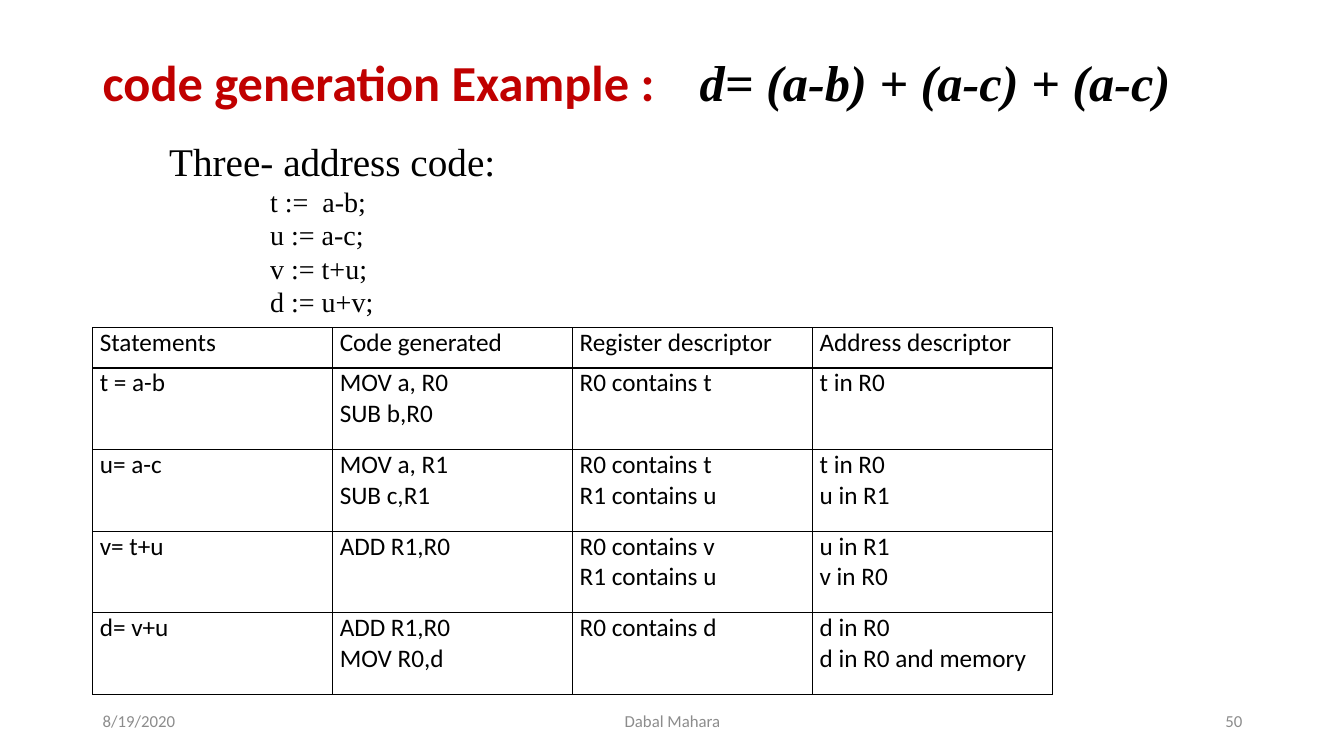
from lxml import etree
from pptx import Presentation
from pptx.dml.color import RGBColor
from pptx.enum.text import MSO_ANCHOR, PP_ALIGN
from pptx.oxml.ns import qn
from pptx.util import Emu, Pt

BLACK = RGBColor(0x00, 0x00, 0x00)
RED = RGBColor(0xC0, 0x00, 0x00)
GRAY = RGBColor(0x8C, 0x8C, 0x8C)
SANS = "Calibri"
SERIF = "Times New Roman"
TOP, MIDDLE = MSO_ANCHOR.TOP, MSO_ANCHOR.MIDDLE
LEFT, CENTER, RIGHT = PP_ALIGN.LEFT, PP_ALIGN.CENTER, PP_ALIGN.RIGHT
EMU_PER_PX = 9144

THREE_ADDRESS_CODE = ["t :=  a-b;", "u := a-c;", "v := t+u;", "d := u+v;"]
DESCRIPTORS = [
    ["Statements", "Code generated", "Register descriptor", "Address descriptor"],
    ["t = a-b", "MOV a, R0\nSUB b,R0", "R0 contains t", "t in R0"],
    ["u= a-c", "MOV a, R1\nSUB c,R1", "R0 contains t\nR1 contains u", "t in R0\nu in R1"],
    ["v= t+u", "ADD R1,R0", "R0 contains v\nR1 contains u", "u in R1\nv in R0"],
    ["d= v+u", "ADD R1,R0\nMOV R0,d", "R0 contains d", "d in R0\nd in R0 and memory"],
]
FOOTER = [
    ("8/19/2020", 92, 300, LEFT),
    ("Dabal Mahara", 442, 450, CENTER),
    ("50", 942, 300, RIGHT),
]


def px(length):
    return Emu(length * EMU_PER_PX)


class SlideBuilder:
    def __init__(self, slide):
        self.slide = slide

    def style(self, run, size, font=SANS, color=BLACK, bold=False, italic=False):
        run.font.size = Pt(size)
        run.font.name = font
        run.font.color.rgb = color
        run.font.bold = bold
        run.font.italic = italic

    def text_box(self, left, top, width, height, anchor=TOP, margin_top=5):
        text_frame = self.slide.shapes.add_textbox(
            px(left), px(top), px(width), px(height)).text_frame
        text_frame.word_wrap = True
        text_frame.vertical_anchor = anchor
        text_frame.margin_top = px(margin_top)
        return text_frame

    def title(self, label, expression):
        paragraph = self.text_box(92, 40, 1150, 145, margin_top=18).paragraphs[0]
        paragraph.line_spacing = 0.9
        tab_list = etree.SubElement(
            paragraph._p.get_or_add_pPr(), qn("a:tabLst"))
        etree.SubElement(tab_list, qn("a:tab"), pos=str(px(592)), algn="l")
        label_run = paragraph.add_run()
        label_run.text = label + "\t"
        self.style(label_run, 36, color=RED, bold=True)
        expression_run = paragraph.add_run()
        expression_run.text = expression
        self.style(expression_run, 36, SERIF, bold=True, italic=True)

    def code(self, heading, lines):
        text_frame = self.text_box(158, 99, 751, 226, margin_top=37)
        text_frame.text = "\n".join([heading] + lines)
        heading_paragraph, *code_paragraphs = text_frame.paragraphs
        self.style(heading_paragraph.runs[0], 28, SERIF)
        for paragraph in code_paragraphs:
            paragraph._p.get_or_add_pPr().set("marL", str(px(100)))
            self.style(paragraph.runs[0], 20, SERIF)

    def table(self, left, top, column_width, row_heights, rows):
        table = self.slide.shapes.add_table(
            len(rows), len(rows[0]), px(left), px(top),
            px(column_width * len(rows[0])), px(sum(row_heights))).table
        table.first_row = False
        table.horz_banding = False
        for column in table.columns:
            column.width = px(column_width)
        for row, height, texts in zip(table.rows, row_heights, rows):
            row.height = px(height)
            for cell, text in zip(row.cells, texts):
                self.cell(cell, text)

    def cell(self, cell, text):
        cell.text = text
        cell.margin_left = cell.margin_right = px(7)
        cell.margin_top = cell.margin_bottom = 0
        for side in ("L", "R", "T", "B"):
            line = etree.SubElement(
                cell._tc.get_or_add_tcPr(), qn(f"a:ln{side}"), w=str(Pt(1)))
            fill = etree.SubElement(line, qn("a:solidFill"))
            etree.SubElement(fill, qn("a:srgbClr"), val=str(BLACK))
        cell.fill.background()
        for paragraph in cell.text_frame.paragraphs:
            self.style(paragraph.runs[0], 18)

    def footer(self, text, left, width, alignment):
        text_frame = self.text_box(left, 695, width, 40, MIDDLE)
        text_frame.text = text
        paragraph = text_frame.paragraphs[0]
        paragraph.alignment = alignment
        self.style(paragraph.runs[0], 12, color=GRAY)


def main():
    presentation = Presentation()
    presentation.slide_width = px(1333)
    presentation.slide_height = px(750)
    builder = SlideBuilder(
        presentation.slides.add_slide(presentation.slide_layouts[6]))
    builder.title("code generation Example :", "d= (a-b) + (a-c) + (a-c)")
    builder.table(92, 325, 238, [40] + [81] * 4, DESCRIPTORS)
    builder.code("Three- address code:", THREE_ADDRESS_CODE)
    for text, left, width, alignment in FOOTER:
        builder.footer(text, left, width, alignment)
    presentation.save("out.pptx")


if __name__ == "__main__":
    main()
